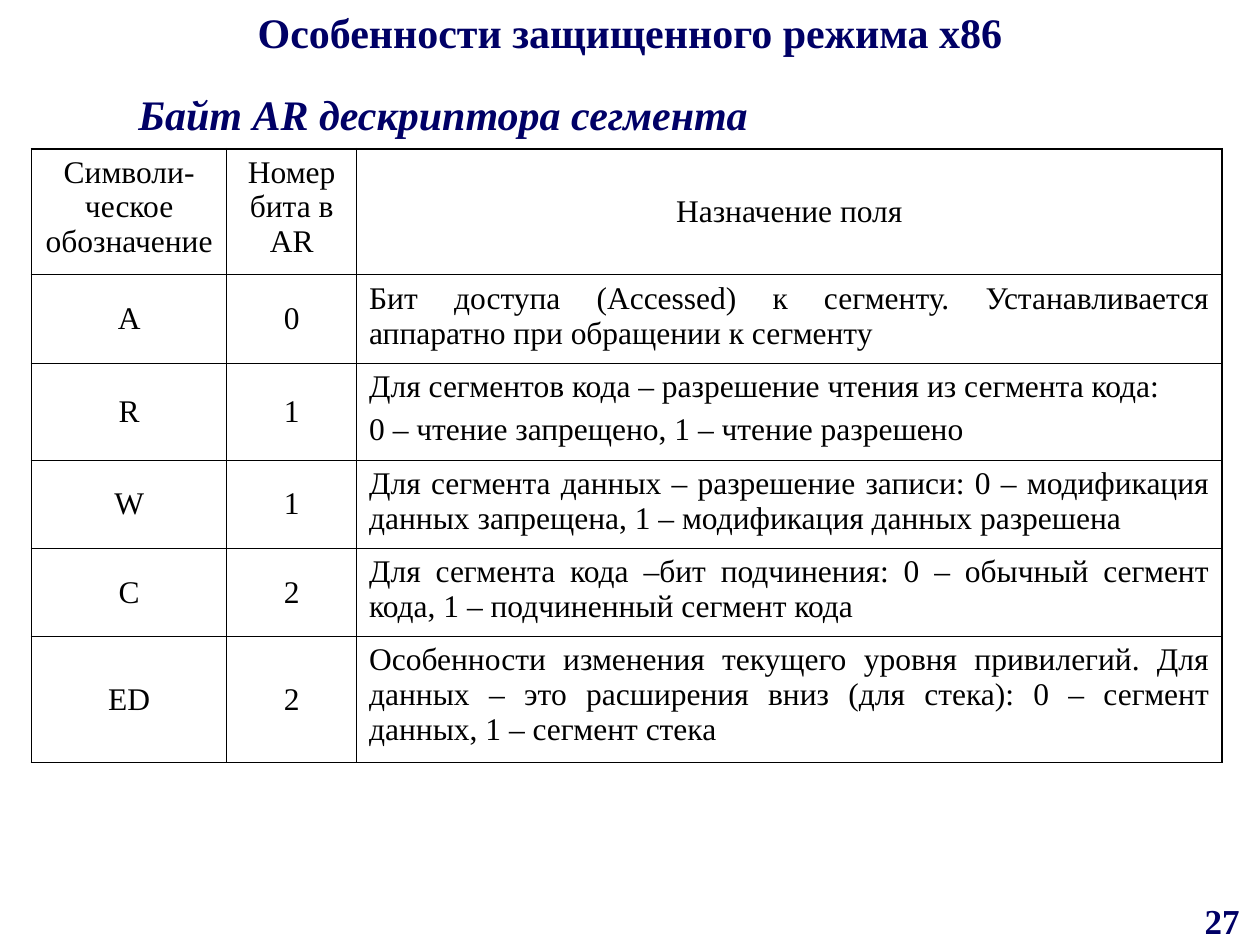
import pptx
import pptx.dml.color
import pptx.enum.text
import pptx.oxml
import pptx.oxml.ns
import pptx.util

Inches = pptx.util.Inches
Pt = pptx.util.Pt
RGBColor = pptx.dml.color.RGBColor
ALIGN = pptx.enum.text.PP_ALIGN
ANCHOR = pptx.enum.text.MSO_ANCHOR

NAVY = RGBColor(0x00, 0x00, 0x66)
BLACK = RGBColor(0x00, 0x00, 0x00)
FONT = "Times New Roman"
OUTER = 1.08
INNER = 0.45

COLUMNS = [1.55, 1.03, 6.87]
ROW_HEIGHTS = [1, 0.7, 0.77, 0.7, 0.7, 1]
ROWS = [
    ("Символи-ческое обозначение", "Номер бита в AR", "Назначение поля"),
    ("A", "0", "Бит доступа (Accessed) к сегменту. Устанавливается "
     "аппаратно при обращении к сегменту"),
    ("R", "1", "Для сегментов кода – разрешение чтения из сегмента кода:\n"
     "0 – чтение запрещено, 1 – чтение разрешено"),
    ("W", "1", "Для сегмента данных – разрешение записи: 0 – модификация "
     "данных запрещена, 1 – модификация данных разрешена"),
    ("С", "2", "Для сегмента кода –бит подчинения: 0 – обычный сегмент "
     "кода, 1 – подчиненный сегмент кода"),
    ("ED", "2", "Особенности изменения текущего уровня привилегий. Для "
     "данных – это расширения вниз (для стека): 0 – сегмент данных, "
     "1 – сегмент стека"),
]


def write_text(tf, text, size=24, color=NAVY, bold=True, italic=False,
               align=ALIGN.CENTER, space_before=0):
    for i, line in enumerate(text.split("\n")):
        p = tf.add_paragraph() if i else tf.paragraphs[0]
        p.alignment = align
        p.space_before = Pt(space_before if i else 0)
        r = p.add_run()
        r.text = line
        r.font.name = FONT
        r.font.size = Pt(size)
        r.font.bold = bold
        r.font.italic = italic
        r.font.color.rgb = color


def add_title(s, text):
    sp = s.shapes.title
    sp.left, sp.top = Inches(0), Inches(0)
    sp.width, sp.height = Inches(10), Inches(0.63)
    sp.text_frame.vertical_anchor = ANCHOR.TOP
    write_text(sp.text_frame, text)


def add_label(s, text, left, top, width, height, wrap=True, **style):
    sp = s.shapes.add_textbox(Inches(left), Inches(top), Inches(width), Inches(height))
    sp.text_frame.word_wrap = wrap
    write_text(sp.text_frame, text, **style)


def set_borders(cell, widths):
    tc_pr = cell._tc.get_or_add_tcPr()
    for i, (side, width) in enumerate(widths.items()):
        tc_pr.insert(i, pptx.oxml.parse_xml(
            f'<a:{side} {pptx.oxml.ns.nsdecls("a")} w="{Pt(width)}">'
            f'<a:solidFill><a:srgbClr val="{BLACK}"/></a:solidFill></a:{side}>'))


def add_field_table(s):
    last_row, last_col = len(ROWS) - 1, len(COLUMNS) - 1
    table = s.shapes.add_table(
        len(ROWS), len(COLUMNS), Inches(0.25), Inches(1.18),
        Inches(sum(COLUMNS)), Inches(sum(ROW_HEIGHTS))).table
    table.first_row = False
    table.horz_banding = False
    for column, width in zip(table.columns, COLUMNS):
        column.width = Inches(width)
    for i, (height, values) in enumerate(zip(ROW_HEIGHTS, ROWS)):
        table.rows[i].height = Inches(height)
        for j, text in enumerate(values):
            cell = table.cell(i, j)
            description = i > 0 and j == last_col
            top_header = i == 0 and j < last_col
            cell.vertical_anchor = ANCHOR.TOP if description or top_header else ANCHOR.MIDDLE
            cell.fill.background()
            set_borders(cell, {
                "lnL": OUTER if j == 0 else INNER,
                "lnR": OUTER if j == last_col else INNER,
                "lnT": OUTER if i == 0 else INNER,
                "lnB": OUTER if i == last_row else INNER,
            })
            write_text(cell.text_frame, text, size=18, color=BLACK, bold=False,
                       align=ALIGN.JUSTIFY if description else ALIGN.CENTER,
                       space_before=4.5)


def main():
    prs = pptx.Presentation()
    prs.slide_width, prs.slide_height = Inches(10), Inches(7.5)
    s = prs.slides.add_slide(prs.slide_layouts[5])
    add_title(s, "Особенности защищенного режима х86")
    add_label(s, "27", 9.4, 7.09, 0.6, 0.41, size=20)
    add_label(s, "Байт AR дескриптора сегмента", 1, 0.65, 5.05, 0.5,
              wrap=False, italic=True, align=ALIGN.LEFT)
    add_field_table(s)
    prs.save("out.pptx")


if __name__ == "__main__":
    main()
